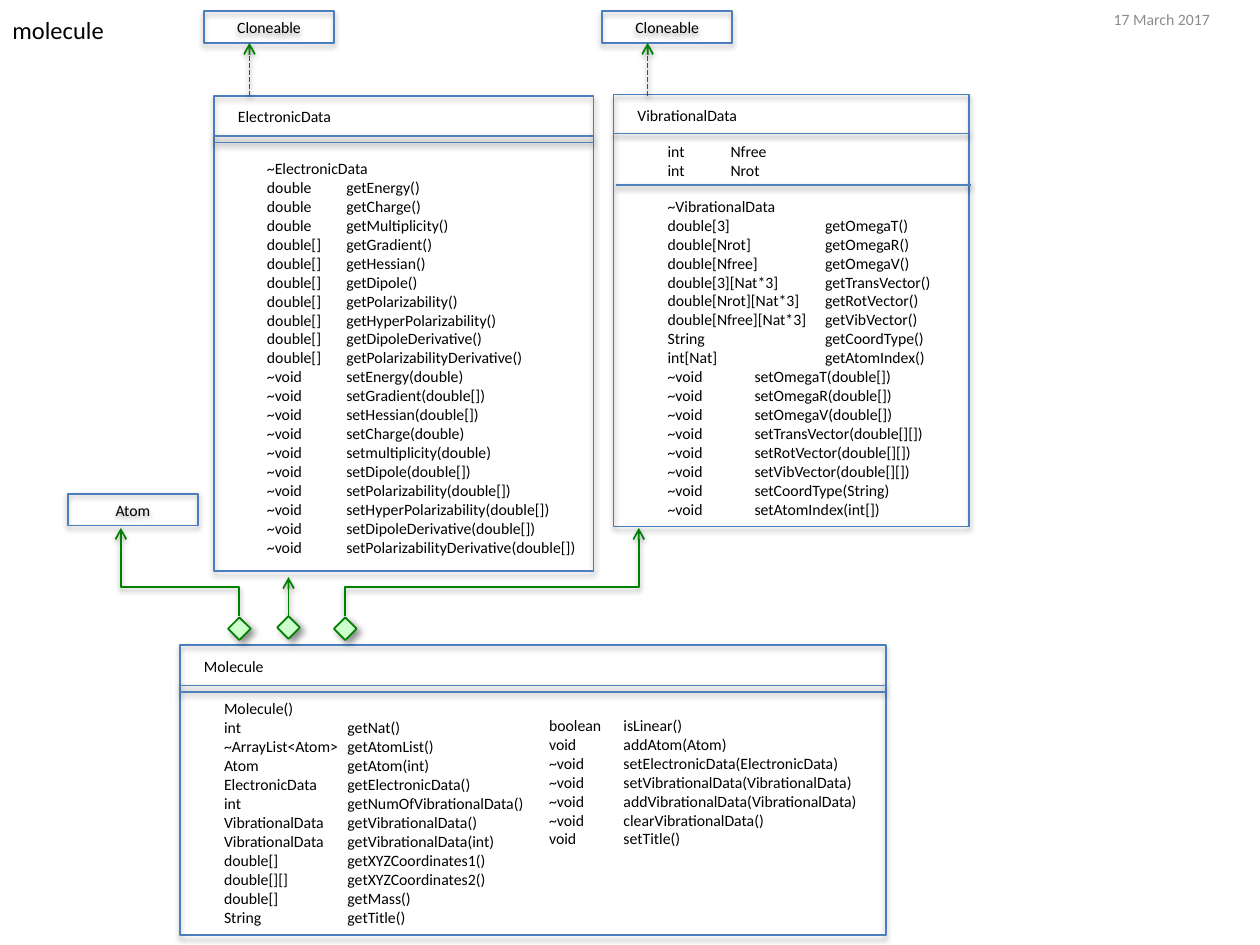
from lxml.etree import SubElement
from pptx import Presentation
from pptx.dml.color import RGBColor
from pptx.enum.dml import MSO_LINE
from pptx.enum.shapes import MSO_CONNECTOR, MSO_SHAPE
from pptx.enum.text import MSO_ANCHOR, MSO_AUTO_SIZE, PP_ALIGN
from pptx.oxml.ns import qn
from pptx.util import Inches, Pt

COLUMNS, ROWS = 100, 75
WIDTH, HEIGHT = Inches(10), Inches(7.5)
COLORS = {"text": "000000", "date": "8C8C8C", "border": "4B7EBC", "divider": "4F81BD",
          "link": "008000", "diamond": "CCFFCC", "shadow": "000000"}
SHADOWS = {"box": (35, 3.1, 1.8, 90), "line": (38, 3.1, 1.6, 90), "diamond": (43, 4, 3, 45)}
TEXT_FORMAT = {"name": "Calibri", "size": Pt(9)}
FRAME_FORMAT = {"word_wrap": True, "auto_size": MSO_AUTO_SIZE.SHAPE_TO_FIT_TEXT}
LABEL_FORMAT = {"word_wrap": False, "auto_size": MSO_AUTO_SIZE.SHAPE_TO_FIT_TEXT}
DATE_FORMAT = {"word_wrap": True, "vertical_anchor": MSO_ANCHOR.MIDDLE}

MOLECULE_GETTERS = [
    ("", "Molecule()"), ("int", "getNat()"), ("~ArrayList<Atom>", "getAtomList()"),
    ("Atom", "getAtom(int)"), ("ElectronicData", "getElectronicData()"),
    ("int", "getNumOfVibrationalData()"),
    ("VibrationalData", "getVibrationalData() getVibrationalData(int)"),
    ("double[]", "getXYZCoordinates1()"), ("double[][]", "getXYZCoordinates2()"),
    ("double[]", "getMass()"), ("String", "getTitle()")]
MOLECULE_SETTERS = [
    ("boolean", "isLinear()"), ("void", "addAtom(Atom)"),
    ("~void", "setElectronicData(ElectronicData) setVibrationalData(VibrationalData) "
              "addVibrationalData(VibrationalData) clearVibrationalData()"),
    ("void", "setTitle()")]
ELECTRONIC_METHODS = [
    ("", "~ElectronicData"),
    ("double", "getEnergy() getCharge() getMultiplicity()"),
    ("double[]", "getGradient() getHessian() getDipole() getPolarizability() "
                 "getHyperPolarizability() getDipoleDerivative() getPolarizabilityDerivative()"),
    ("~void", "setEnergy(double) setGradient(double[]) setHessian(double[]) setCharge(double) "
              "setmultiplicity(double) setDipole(double[]) setPolarizability(double[]) "
              "setHyperPolarizability(double[]) setDipoleDerivative(double[]) "
              "setPolarizabilityDerivative(double[])")]
VIBRATIONAL_FIELDS = [("int", "Nfree Nrot")]
VIBRATIONAL_GETTERS = [
    ("", "~VibrationalData"), ("double[3]", "getOmegaT()"), ("double[Nrot]", "getOmegaR()"),
    ("double[Nfree]", "getOmegaV()"), ("double[3][Nat*3]", "getTransVector()"),
    ("double[Nrot][Nat*3]", "getRotVector()"), ("double[Nfree][Nat*3]", "getVibVector()"),
    ("String", "getCoordType()"), ("int[Nat]", "getAtomIndex()")]
VIBRATIONAL_SETTERS = [
    ("~void", "setOmegaT(double[]) setOmegaR(double[]) setOmegaV(double[]) "
              "setTransVector(double[][]) setRotVector(double[][]) setVibVector(double[][]) "
              "setCoordType(String) setAtomIndex(int[])")]


def across(columns):
    """Return the length of a number of grid columns."""
    return round(WIDTH * columns / COLUMNS)


def down(rows):
    """Return the length of a number of grid rows."""
    return round(HEIGHT * rows / ROWS)


def place(left, top, width, height):
    """Return a grid area as slide lengths."""
    return across(left), down(top), across(width), down(height)


def color(role):
    """Return the colour of a role."""
    return RGBColor.from_string(COLORS[role])


def apply_format(target, values):
    """Set each attribute of the target from a dict."""
    for name, value in values.items():
        setattr(target, name, value)


def cast_shadow(element, kind):
    """Give an element the outer shadow of its kind."""
    opacity, blur, distance, angle = SHADOWS[kind]
    properties = element._element.spPr
    for effects in properties.findall(qn("a:effectLst")):
        properties.remove(effects)
    effects = SubElement(properties, qn("a:effectLst"))
    outer = SubElement(effects, qn("a:outerShdw"), blurRad=str(Pt(blur)),
                       dist=str(Pt(distance)), dir=str(angle * 60000), rotWithShape="0")
    tint = SubElement(outer, qn("a:srgbClr"), val=COLORS["shadow"])
    SubElement(tint, qn("a:alpha"), val=str(opacity * 1000))


def stroke(element, role, shadow, dash=None, arrow=False):
    """Draw the outline, arrowhead and shadow of an element."""
    element.line.color.rgb = color(role)
    apply_format(element.line, {"width": Pt(1), "dash_style": dash})
    if arrow:
        SubElement(element.line._get_or_add_ln(), qn("a:tailEnd"), type="arrow")
    cast_shadow(element, shadow)


def write(paragraph, words, role="text", **changes):
    """Write words into a paragraph."""
    run = paragraph.add_run()
    run.text = words
    apply_format(run.font, TEXT_FORMAT | changes)
    run.font.color.rgb = color(role)


def add_label(slide, words, area, frame_format=LABEL_FORMAT, **changes):
    """Add a single line of text."""
    frame = slide.shapes.add_textbox(*place(*area)).text_frame
    apply_format(frame, frame_format)
    write(frame.paragraphs[0], words, **changes)


def add_members(slide, area, *sections):
    """Add a list of class members, each section with its own tab stop."""
    frame = slide.shapes.add_textbox(*place(*area)).text_frame
    apply_format(frame, FRAME_FORMAT)
    members = [(tab, f"{kind}\t{name}" if kind else name)
               for tab, groups in sections for kind, names in groups for name in names.split()]
    for index, (tab, words) in enumerate(members):
        paragraph = frame.add_paragraph() if index else frame.paragraphs[0]
        stops = SubElement(paragraph._p.get_or_add_pPr(), qn("a:tabLst"))
        SubElement(stops, qn("a:tab"), pos=str(across(tab)), algn="l")
        write(paragraph, words)


def add_box(slide, area):
    """Add an unfilled box with a shadow."""
    box = slide.shapes.add_shape(MSO_SHAPE.RECTANGLE, *place(*area))
    box.fill.background()
    stroke(box, "border", "box")
    return box


def add_named_box(slide, name, left, top):
    """Add a small box with a centred class name."""
    frame = add_box(slide, (left, top, 10.3, 2.5)).text_frame
    frame.vertical_anchor = MSO_ANCHOR.MIDDLE
    frame.paragraphs[0].alignment = PP_ALIGN.CENTER
    write(frame.paragraphs[0], name)


def add_line(slide, start, end, role="divider", **options):
    """Add a straight line between two grid points."""
    line = slide.shapes.add_connector(MSO_CONNECTOR.STRAIGHT, across(start[0]), down(start[1]),
                                      across(end[0]), down(end[1]))
    stroke(line, role, "line", **options)


def add_class(slide, name, area, name_width, dividers):
    """Add a class box with its name and dividers."""
    left, top, width, height = area
    add_box(slide, area)
    for shift, offset in dividers:
        add_line(slide, (left + shift, top + offset), (left + shift + width, top + offset))
    add_label(slide, name, (left + 0.9, top + 0.4, name_width, 2.5))


def add_diamond(slide, center, top):
    """Add the diamond at the start of an aggregation."""
    diamond = slide.shapes.add_shape(MSO_SHAPE.DIAMOND, *place(center - 0.9, top, 1.8, 1.8))
    diamond.fill.solid()
    diamond.fill.fore_color.rgb = color("diamond")
    stroke(diamond, "link", "diamond")


def add_elbow(slide, start, end, bend):
    """Add a diamond and a bent arrow to the target class."""
    add_diamond(slide, start[0], start[1] + 0.1)
    points = [(across(x), down(y)) for x, y in
              (start, (start[0], bend), (end[0], bend), end)]
    builder = slide.shapes.build_freeform(*points[0])
    builder.add_line_segments(points[1:], close=False)
    elbow = builder.convert_to_shape()
    elbow.fill.background()
    stroke(elbow, "link", "line", arrow=True)


def main():
    """Build the class diagram and save it."""
    deck = Presentation()
    apply_format(deck, {"slide_width": WIDTH, "slide_height": HEIGHT})
    slide = deck.slides.add_slide(deck.slide_layouts[6])

    add_class(slide, "Molecule", (14.3, 51.2, 56, 23), 6.8, [(0, 3.2), (0, 3.7)])
    add_members(slide, (16.8, 55, 27, 19.2), (9.8, MOLECULE_GETTERS))
    add_members(slide, (42.6, 56.3, 27.7, 11.6), (5.9, MOLECULE_SETTERS))

    add_class(slide, "ElectronicData", (17, 7.6, 30.1, 37.7), 9.5, [(0, 3.2), (0, 3.7)])
    add_members(slide, (20.2, 12.1, 26.9, 32.8), (6.3, ELECTRONIC_METHODS))

    add_class(slide, "VibrationalData", (48.7, 7.5, 28.2, 34.3), 10.1, [(0, 3.1), (0.2, 7.2)])
    add_members(slide, (52, 15.1, 24.9, 26.8),
                (12.5, VIBRATIONAL_GETTERS), (6.9, VIBRATIONAL_SETTERS))
    add_members(slide, (52, 10.8, 23.6, 4), (5, VIBRATIONAL_FIELDS))

    add_label(slide, "molecule", (0, 0.7, 9.3, 3.4), size=Pt(14))
    add_label(slide, "17 March 2017", (87.4, 0.1, 12.6, 2.9), DATE_FORMAT, role="date")

    add_named_box(slide, "Atom", 5.4, 39.2)
    for left in (16.2, 47.8):
        add_named_box(slide, "Cloneable", left, 0.9)
        add_line(slide, (left + 3.6, 7.6), (left + 3.6, 3.4), "link",
                 dash=MSO_LINE.SQUARE_DOT, arrow=True)

    add_line(slide, (22.9, 48.9), (22.9, 45.8), "link", arrow=True)
    add_diamond(slide, 22.9, 48.9)
    for start, target in ((19, 9.6), (27.4, 50.7)):
        add_elbow(slide, (start, 48.9), (target, 41.9), 46.6)
    deck.save("out.pptx")


if __name__ == "__main__":
    main()
